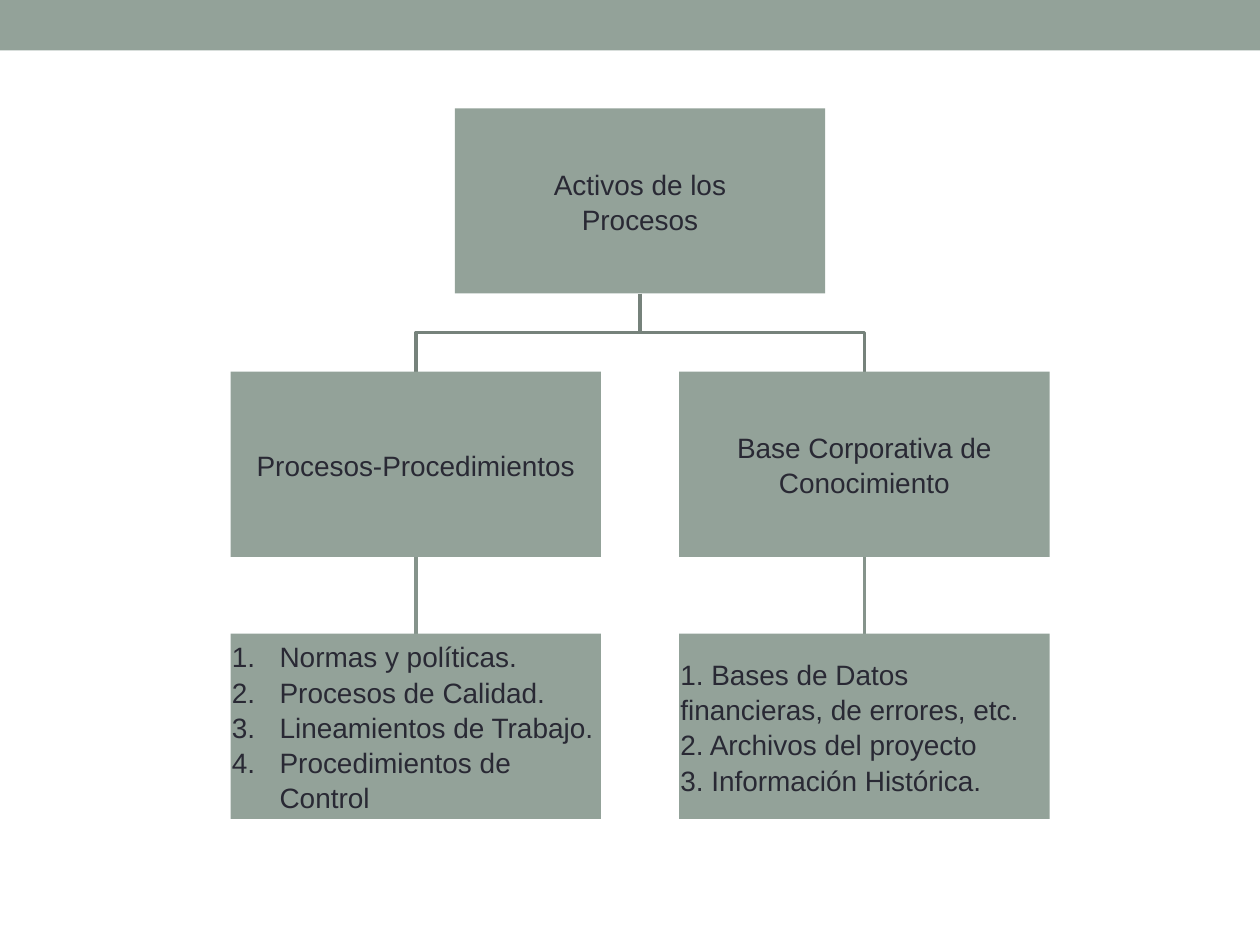
from dataclasses import dataclass

from lxml import etree
from pptx import Presentation, util as u
from pptx.dml.color import RGBColor
from pptx.enum import shapes as kinds, text as txt
from pptx.oxml.ns import qn

SAGE, INK = "93A299", "292934"
BRANCH, STEM = "76827B", "85938B"
LINE_WIDTH = 2.08
BOX_W, BOX_H = 2.94, 1.47
ROW_TOPS = (0.86, 2.95, 5.03)
ROOT_X, LEFT_X, RIGHT_X = 5.08, 3.3, 6.86


@dataclass(frozen=True)
class Node:
    center: float
    level: int
    lines: tuple[str, ...]
    centered: bool = True
    numbered: bool = False

    @property
    def top(self) -> float:
        return ROW_TOPS[self.level]

    @property
    def bottom(self) -> float:
        return self.top + BOX_H


ROOT = Node(ROOT_X, 0, ("Activos de los", "Procesos"))
PROCEDURES = Node(LEFT_X, 1, ("Procesos-Procedimientos",))
KNOWLEDGE = Node(RIGHT_X, 1, ("Base Corporativa de", "Conocimiento"))
PROCEDURE_LIST = Node(
    LEFT_X, 2,
    ("Normas y políticas.", "Procesos de Calidad.",
     "Lineamientos de Trabajo.", "Procedimientos de Control"),
    centered=False, numbered=True)
KNOWLEDGE_LIST = Node(
    RIGHT_X, 2,
    ("1. Bases de Datos financieras, de errores, etc.",
     "2. Archivos del proyecto", "3. Información Histórica."),
    centered=False)


def color(hex_code: str) -> RGBColor:
    return RGBColor.from_string(hex_code)


def add_block(slide, left: float, top: float, width: float, height: float):
    block = slide.shapes.add_shape(
        kinds.MSO_SHAPE.RECTANGLE,
        *map(u.Inches, (left, top, width, height)))
    block.shadow.inherit = False
    block.fill.solid()
    block.fill.fore_color.rgb = color(SAGE)
    block.line.fill.background()
    return block


def number_paragraph(paragraph) -> None:
    """Give the paragraph an automatic number and a hanging indent."""
    properties = paragraph._p.get_or_add_pPr()
    indent = u.Inches(0.38)
    properties.set("marL", str(indent))
    properties.set("indent", str(-indent))
    etree.SubElement(properties, qn("a:buFont"), typeface="+mj-lt")
    etree.SubElement(properties, qn("a:buAutoNum"), type="arabicPeriod")


def add_node(slide, node: Node) -> None:
    box = add_block(slide, node.center - BOX_W / 2, node.top, BOX_W, BOX_H)
    frame = box.text_frame
    frame.word_wrap = True
    frame.vertical_anchor = txt.MSO_ANCHOR.MIDDLE
    frame.margin_left = frame.margin_right = u.Inches(0.01)
    frame.margin_top = frame.margin_bottom = u.Inches(0.01)
    for index, line in enumerate(node.lines):
        paragraph = frame.add_paragraph() if index else frame.paragraphs[0]
        paragraph.text = line
        paragraph.alignment = (
            txt.PP_ALIGN.CENTER if node.centered else txt.PP_ALIGN.LEFT)
        paragraph.line_spacing = 1.05
        paragraph.font.name = "Arial"
        paragraph.font.size = u.Pt(16)
        paragraph.font.color.rgb = color(INK)
        if node.numbered:
            number_paragraph(paragraph)


def add_stem(slide, parent: Node, child: Node) -> None:
    """Join two nodes that stand in one column."""
    stem = slide.shapes.add_connector(
        kinds.MSO_CONNECTOR.STRAIGHT,
        *map(u.Inches, (parent.center, parent.bottom, child.center, child.top)))
    stem.line.color.rgb = color(STEM)
    stem.line.width = u.Pt(LINE_WIDTH)
    etree.SubElement(stem._element.spPr, qn("a:effectLst"))


def add_branch(slide, parent: Node, child: Node) -> None:
    """Join two nodes by a line that turns halfway between their rows."""
    middle = (parent.bottom + child.top) / 2
    builder = slide.shapes.build_freeform(
        u.Inches(parent.center), u.Inches(parent.bottom))
    corners = ((parent.center, middle), (child.center, middle),
               (child.center, child.top))
    builder.add_line_segments(
        [(u.Inches(x), u.Inches(y)) for x, y in corners], close=False)
    branch = builder.convert_to_shape()
    branch.shadow.inherit = False
    branch.fill.background()
    branch.line.color.rgb = color(BRANCH)
    branch.line.width = u.Pt(LINE_WIDTH)


def main() -> None:
    deck = Presentation()
    deck.slide_width, deck.slide_height = u.Inches(10), u.Inches(7.5)
    slide = deck.slides.add_slide(deck.slide_layouts.get_by_name("Blank"))

    add_block(slide, 0, 0, 10, 0.4)
    for topic, details in ((KNOWLEDGE, KNOWLEDGE_LIST),
                           (PROCEDURES, PROCEDURE_LIST)):
        add_stem(slide, topic, details)
        add_branch(slide, ROOT, topic)
    for node in (ROOT, PROCEDURES, PROCEDURE_LIST, KNOWLEDGE, KNOWLEDGE_LIST):
        add_node(slide, node)

    deck.save("out.pptx")


if __name__ == "__main__":
    main()
